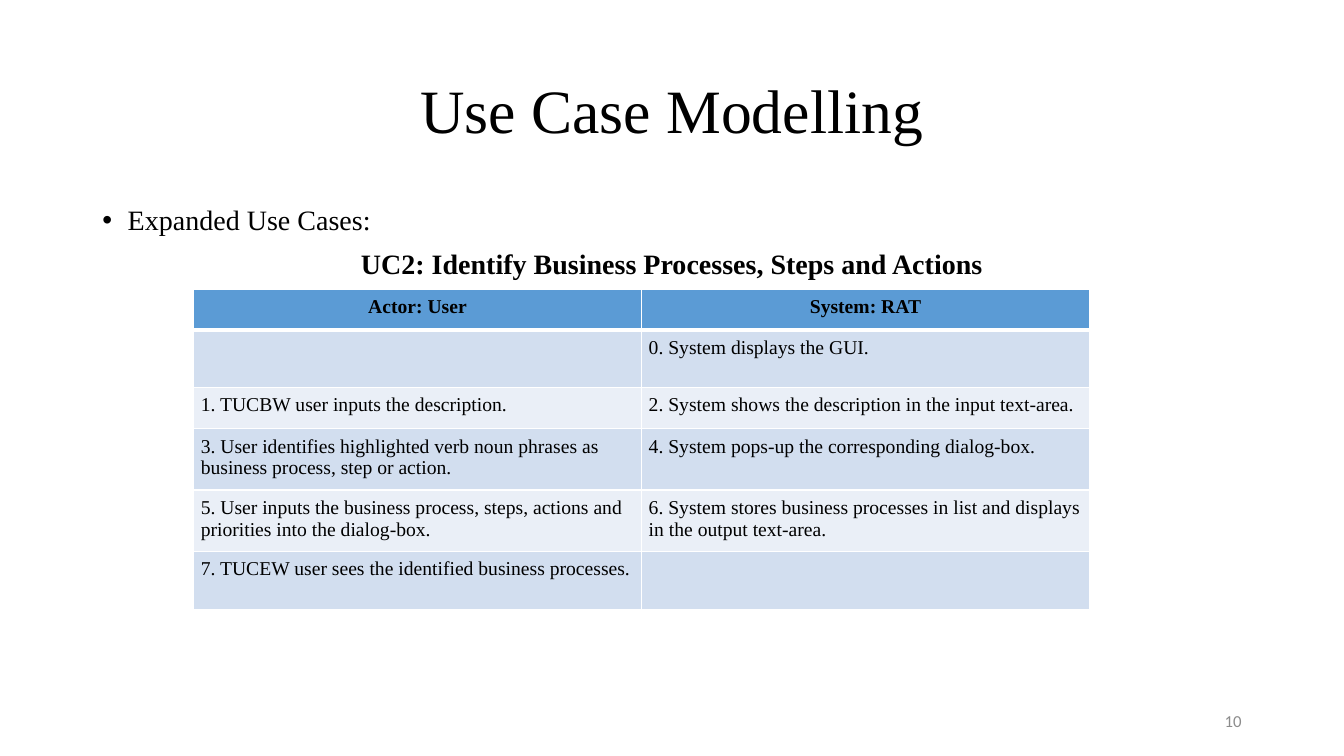
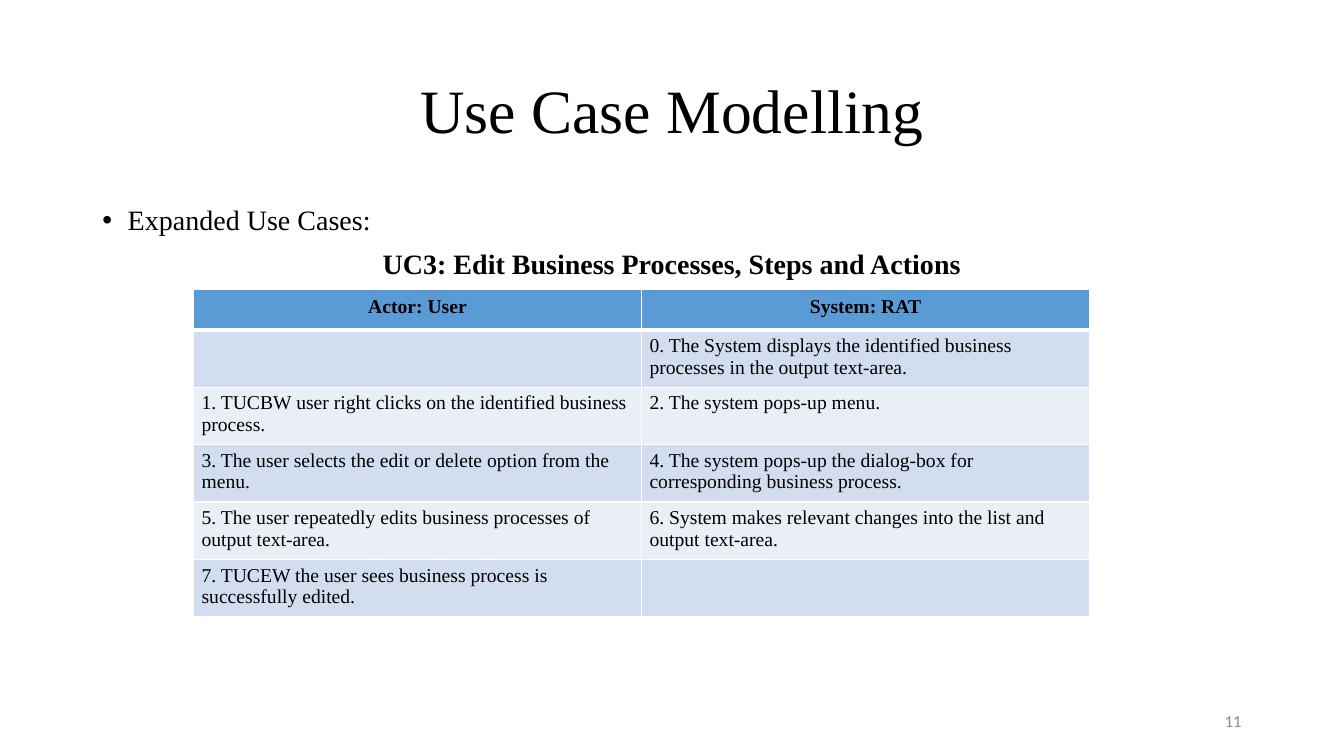
from dataclasses import dataclass

from lxml.etree import SubElement
from pptx import Presentation
from pptx.dml.color import RGBColor
from pptx.enum.text import MSO_ANCHOR as Anchor, PP_ALIGN as Align
from pptx.oxml.ns import qn
from pptx.util import Cm, Pt

TITLE = "Use Case Modelling"
LEAD = "Expanded Use Cases:"
HEADER = ("Actor: User", "System: RAT")

USE_CASES = [
    {
        "number": 10,
        "name": "UC2: Identify Business Processes, Steps and Actions",
        "steps": [
            ("", "0. System displays the GUI."),
            ("1. TUCBW user inputs the description.",
             "2. System shows the description in the input text-area."),
            ("3. User identifies highlighted verb noun phrases as business process, step or action.",
             "4. System pops-up the corresponding dialog-box."),
            ("5. User inputs the business process, steps, actions and priorities into the dialog-box.",
             "6. System stores business processes in list and displays in the output text-area."),
            ("7. TUCEW user sees the identified business processes.", ""),
        ],
        "heights": (1.45, 1.04, 1.46, 1.46, 1.46),
        "margins": (0.18, 0.18),
    },
    {
        "number": 11,
        "name": "UC3: Edit Business Processes, Steps and Actions",
        "steps": [
            ("", "0. The System displays the identified business processes in the output text-area."),
            ("1. TUCBW user right clicks on the identified business process.",
             "2. The system pops-up menu."),
            ("3. The user selects the edit or delete option from the menu.",
             "4. The system pops-up the dialog-box for corresponding business process."),
            ("5. The user repeatedly edits business processes of output text-area.",
             "6. System makes relevant changes into the list and output text-area."),
            ("7. TUCEW the user sees business process is successfully edited.", ""),
        ],
        "heights": (1.35,) * 5,
        "margins": (0.2, 0.13),
    },
]


@dataclass(frozen=True)
class Theme:
    serif: str = "Times New Roman"
    sans: str = "Calibri"
    ink: str = "000000"
    muted: str = "8C8C8C"
    rule: str = "FFFFFF"
    header: str = "5B9BD5"
    bands: tuple = ("D2DEEF", "EAEFF7")
    title_size: int = 44
    body_size: int = 20
    cell_size: int = 14
    number_size: int = 12
    thin: int = 1
    thick: int = 3


THEME = Theme()
HEADER_HEIGHT = 1.03
HEADER_MARGINS = (0.18, 0.18)


def add_box(page, left, top, width, height, anchor=Anchor.TOP):
    box = page.shapes.add_textbox(Cm(left), Cm(top), Cm(width), Cm(height))
    box.text_frame.word_wrap = True
    box.text_frame.vertical_anchor = anchor
    return box.text_frame


def write(para, text, size, align=Align.LEFT, bold=False, font=THEME.serif, color=THEME.ink):
    para.alignment = align
    span = para.add_run()
    span.text = text
    span.font.size = Pt(size)
    span.font.name = font
    span.font.bold = bold
    span.font.color.rgb = RGBColor.from_string(color)


def add_bullet(para):
    props = para._p.get_or_add_pPr()
    props.set("marL", str(Cm(0.64)))
    props.set("indent", str(Cm(-0.64)))
    SubElement(props, qn("a:buFont"), typeface="Arial")
    SubElement(props, qn("a:buChar"), char="•")


def set_borders(cell, top, bottom):
    props = cell._tc.get_or_add_tcPr()
    widths = {"a:lnL": THEME.thin, "a:lnR": THEME.thin, "a:lnT": top, "a:lnB": bottom}
    for tag, width in widths.items():
        line = SubElement(props, qn(tag), w=str(Pt(width)))
        SubElement(SubElement(line, qn("a:solidFill")), qn("a:srgbClr"), val=THEME.rule)


def add_steps_table(page, use_case):
    rows = [HEADER, *use_case["steps"]]
    heights = (HEADER_HEIGHT, *use_case["heights"])
    table = page.shapes.add_table(
        len(rows), len(HEADER), Cm(4.88), Cm(7.28), Cm(22.58), Cm(sum(heights))).table
    for index, (texts, height) in enumerate(zip(rows, heights)):
        table.rows[index].height = Cm(height)
        is_header = index == 0
        side, edge = HEADER_MARGINS if is_header else use_case["margins"]
        fill = THEME.header if is_header else THEME.bands[(index - 1) % 2]
        for column, text in enumerate(texts):
            cell = table.cell(index, column)
            set_borders(cell,
                        top=THEME.thick if index == 1 else THEME.thin,
                        bottom=THEME.thick if is_header else THEME.thin)
            cell.fill.solid()
            cell.fill.fore_color.rgb = RGBColor.from_string(fill)
            cell.margin_left = cell.margin_right = Cm(side)
            cell.margin_top = cell.margin_bottom = Cm(edge)
            if text:
                write(cell.text_frame.paragraphs[0], text, THEME.cell_size,
                      Align.CENTER if is_header else Align.LEFT, bold=is_header)


def add_page(deck, use_case):
    page = deck.slides.add_slide(deck.slide_layouts[6])

    title = add_box(page, 2.33, 1.01, 29.21, 3.68, Anchor.MIDDLE).paragraphs[0]
    title.line_spacing = 0.9
    write(title, TITLE, THEME.title_size, Align.CENTER)

    body = add_box(page, 2.33, 5.07, 29.21, 12.09)
    lead, name = body.paragraphs[0], body.add_paragraph()
    for para in (lead, name):
        para.line_spacing = 0.9
        para.space_before = Pt(10)
    add_bullet(lead)
    write(lead, LEAD, THEME.body_size)
    write(name, use_case["name"], THEME.body_size, Align.CENTER, bold=True)

    number = add_box(page, 23.92, 17.65, 7.62, 1.01, Anchor.MIDDLE).paragraphs[0]
    write(number, str(use_case["number"]), THEME.number_size, Align.RIGHT,
          font=THEME.sans, color=THEME.muted)

    add_steps_table(page, use_case)


def main():
    deck = Presentation()
    deck.slide_width, deck.slide_height = Cm(33.87), Cm(19.05)
    for use_case in USE_CASES:
        add_page(deck, use_case)
    deck.save("out.pptx")


if __name__ == "__main__":
    main()
